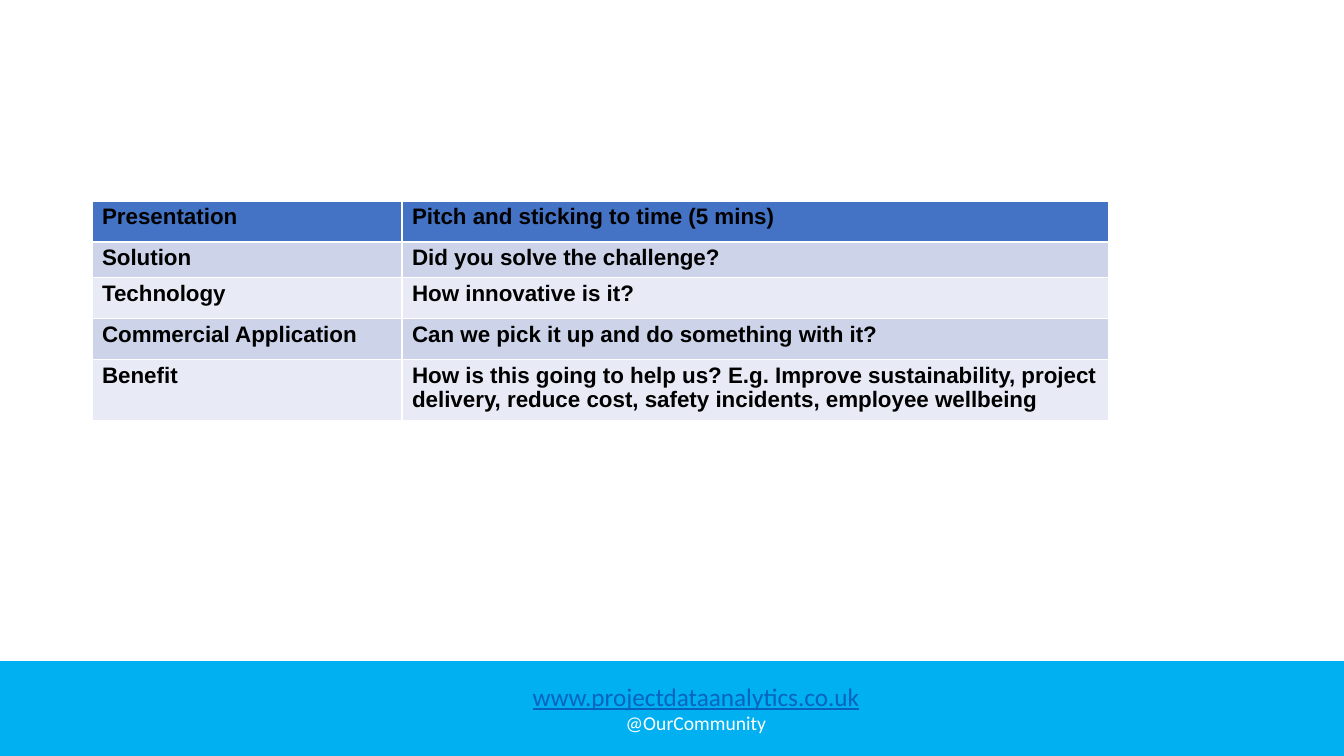
from pptx import Presentation
from pptx.dml.color import RGBColor as RGB
from pptx.enum.shapes import MSO_SHAPE as SHAPE
from pptx.enum.text import PP_ALIGN as ALIGN
from pptx.util import Emu, Pt

COLORS = {"bar": "00B0F0", "link": "0563C1", "white": "FFFFFF", "text": "000000",
          "header": "4472C4", "odd": "CDD4EA", "even": "E8EBF5"}
CRITERIA = [
    ("Presentation", "Pitch and sticking to time (5 mins)"),
    ("Solution", "Did you solve the challenge?"),
    ("Technology", "How innovative is it?"),
    ("Commercial Application", "Can we pick it up and do something with it?"),
    ("Benefit", "How is this going to help us? E.g. Improve sustainability, project "
                "delivery, reduce cost, safety incidents, employee wellbeing"),
]


def px(n):
    return Emu(round(n * 914400 / 100.8))


class Slide:
    """Holds the style and the current slide, and draws each kind of element."""

    def __init__(self, prs, colors):
        self.s = prs.slides.add_slide(prs.slide_layouts[6])
        self.colors = {name: RGB.from_string(c) for name, c in colors.items()}

    def run(self, p, text, font, size, color, bold=False, underline=False):
        r = p.add_run()
        r.text = text
        f = r.font
        f.name, f.size, f.bold, f.underline = font, Pt(size), bold, underline
        f.color.rgb = self.colors[color]

    def bar(self, x, y, w, h, color):
        sp = self.s.shapes.add_shape(SHAPE.RECTANGLE, px(x), px(y), px(w), px(h))
        sp.shadow.inherit = False
        sp.fill.solid()
        sp.fill.fore_color.rgb = self.colors[color]
        sp.line.color.rgb = self.colors[color]
        sp.line.width = Pt(1)

    def text(self, x, y, w, h, lines):
        tf = self.s.shapes.add_textbox(px(x), px(y), px(w), px(h)).text_frame
        tf.word_wrap = True
        for i, (text, size, color, underline) in enumerate(lines):
            p = tf.add_paragraph() if i else tf.paragraphs[0]
            p.alignment = ALIGN.CENTER
            self.run(p, text, "Calibri", size, color, underline=underline)

    def table(self, x, y, widths, heights, rows):
        tbl = self.s.shapes.add_table(len(rows), len(widths), px(x), px(y),
                                      px(sum(widths)), px(sum(heights))).table
        for col, w in zip(tbl.columns, widths):
            col.width = px(w)
        for i, (row, h, texts) in enumerate(zip(tbl.rows, heights, rows)):
            row.height = px(h)
            fill = "header" if i == 0 else "odd" if i % 2 else "even"
            for cell, text in zip(row.cells, texts):
                cell.fill.solid()
                cell.fill.fore_color.rgb = self.colors[fill]
                p = cell.text_frame.paragraphs[0]
                p.line_spacing = 0.95
                self.run(p, text, "Arial", 16, "text", bold=True)


def main():
    prs = Presentation()
    prs.slide_width, prs.slide_height = px(1344), px(756)
    slide = Slide(prs, COLORS)
    slide.bar(0, 662, 1344, 94, "bar")
    slide.text(513, 676, 366, 65, [
        ("www.projectdataanalytics.co.uk", 18, "link", True),
        ("@OurCommunity", 14, "white", False),
    ])
    slide.table(92, 201, [310, 707], [41, 35, 41, 41, 59], CRITERIA)
    prs.save("out.pptx")


if __name__ == "__main__":
    main()
